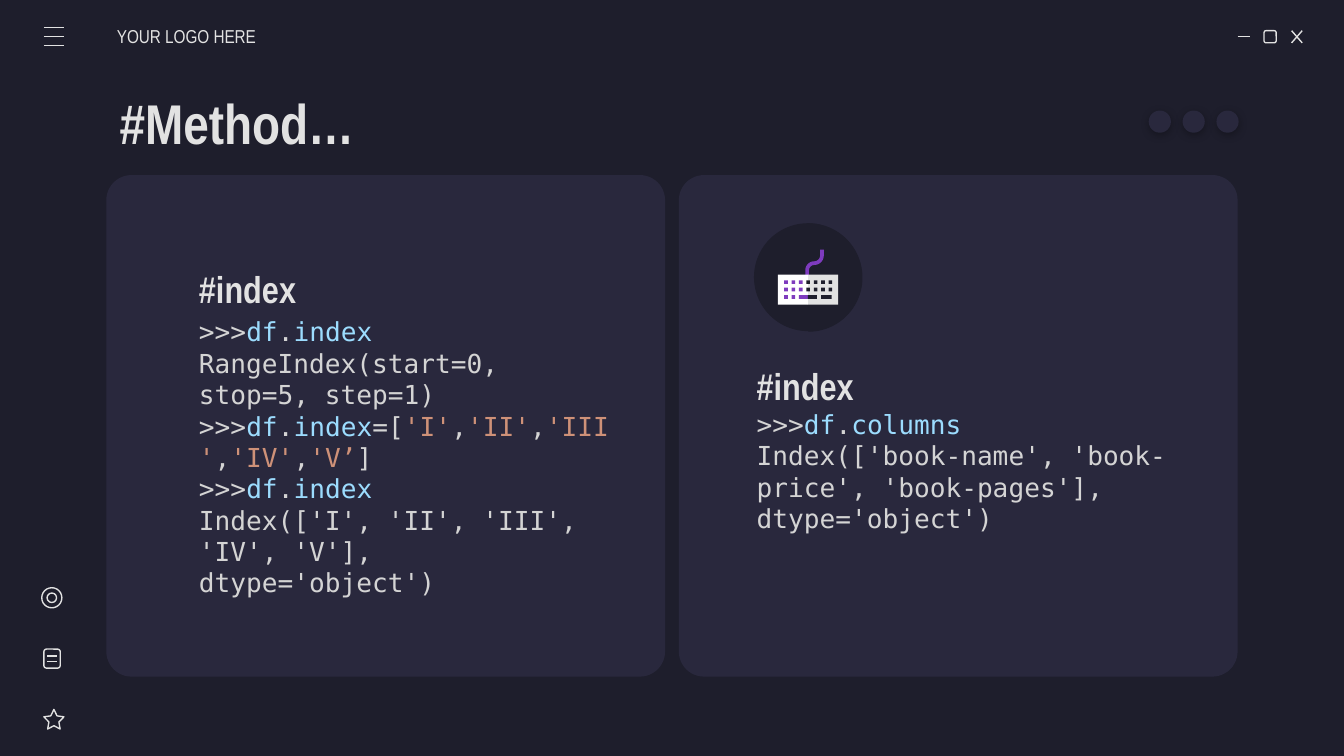
from dataclasses import dataclass
from math import cos, radians, sin

from lxml import etree
from pptx import Presentation
from pptx.dml.color import RGBColor
from pptx.enum.shapes import MSO_CONNECTOR, MSO_SHAPE
from pptx.enum.text import MSO_ANCHOR, MSO_AUTO_SIZE, PP_ALIGN
from pptx.oxml.ns import qn
from pptx.util import Cm, Pt

STRAIGHT = MSO_CONNECTOR.STRAIGHT
ROUNDED, OVAL, RECT = MSO_SHAPE.ROUNDED_RECTANGLE, MSO_SHAPE.OVAL, MSO_SHAPE.RECTANGLE
STAR, PIE = MSO_SHAPE.STAR_5_POINT, MSO_SHAPE.PIE
MIDDLE, TOP = MSO_ANCHOR.MIDDLE, MSO_ANCHOR.TOP
LEFT, FIXED = PP_ALIGN.LEFT, MSO_AUTO_SIZE.NONE


@dataclass(frozen=True)
class Theme:
    dark: str = "1E1E2C"
    panel: str = "29283D"
    light: str = "E2E2E2"
    white: str = "FFFFFF"
    purple: str = "7E3BBE"
    plain: str = "D4D4D4"
    name: str = "9CDCFE"
    string: str = "CE9178"
    sans: str = "Arial Narrow"
    mono: str = "DejaVu Sans Mono"
    title_size: int = 30
    heading_size: int = 20
    code_size: int = 14
    label_size: int = 10
    stroke: float = 0.75


THEME = Theme()


def paint(shape, fill=None, line=None):
    shape.shadow.inherit = False
    if fill:
        shape.fill.solid()
        shape.fill.fore_color.rgb = RGBColor.from_string(fill)
    else:
        shape.fill.background()
    if line:
        shape.line.color.rgb = RGBColor.from_string(line)
        shape.line.width = Pt(THEME.stroke)
    else:
        shape.line.fill.background()


def add_preset(shapes, kind, left, top, width, height, fill=None, line=None, adjust=()):
    shape = shapes.add_shape(kind, Cm(left), Cm(top), Cm(width), Cm(height))
    for index, value in enumerate(adjust):
        shape.adjustments[index] = value
    paint(shape, fill, line)
    return shape


def add_stroke(shapes, x1, y1, x2, y2):
    stroke = shapes.add_connector(STRAIGHT, Cm(x1), Cm(y1), Cm(x2), Cm(y2))
    stroke.line.color.rgb = RGBColor.from_string(THEME.light)
    stroke.line.width = Pt(THEME.stroke)
    etree.SubElement(stroke.element.spPr, qn("a:effectLst"))


def add_soft_shadow(shape):
    effects = shape.element.spPr.find(qn("a:effectLst"))
    shadow = etree.SubElement(effects, qn("a:outerShdw"), blurRad=str(Pt(4.5)),
                              dist=str(Pt(1.5)), dir="5400000", algn="bl", rotWithShape="0")
    color = etree.SubElement(shadow, qn("a:srgbClr"), val="000000")
    etree.SubElement(color, qn("a:alpha"), val="30000")


def place(box, left, top, width, height):
    box.left, box.top, box.width, box.height = Cm(left), Cm(top), Cm(width), Cm(height)


def write(box, lines, font, size, bold=False, anchor=MIDDLE, insets=(0.25, 0.25), wrap=True):
    """Fill a box with lines of (text, colour) spans; insets are left and vertical."""
    frame = box.text_frame
    frame.auto_size = FIXED
    frame.word_wrap = wrap
    frame.vertical_anchor = anchor
    frame.margin_left, frame.margin_right = Cm(insets[0]), Cm(0.25)
    frame.margin_top = frame.margin_bottom = Cm(insets[1])
    for index, line in enumerate(lines):
        para = frame.add_paragraph() if index else frame.paragraphs[0]
        para.alignment = LEFT
        para.space_before = Pt(0)
        for text, color in line:
            span = para.add_run()
            span.text = text
            span.font.name, span.font.size, span.font.bold = font, Pt(size), bold
            span.font.color.rgb = RGBColor.from_string(color)


def add_box(page, left, top, width, height):
    return page.shapes.add_textbox(Cm(left), Cm(top), Cm(width), Cm(height))


def write_heading(box, text, size):
    write(box, [[(text, THEME.light)]], THEME.sans, size, bold=True)


def add_code(page, left, top, height, lines):
    box = add_box(page, left, top, 8.46, height)
    write(box, lines, THEME.mono, THEME.code_size, anchor=TOP, insets=(0.25, 0.13))


def prompt(attribute):
    return [(">>>", THEME.plain), ("df", THEME.name), (".", THEME.plain),
            (attribute, THEME.name)]


def assignment(attribute, items):
    spans = prompt(attribute) + [("=[", THEME.plain)]
    for index, item in enumerate(items):
        if index:
            spans.append((",", THEME.plain))
        spans.append((item, THEME.string))
    return spans + [("]", THEME.plain)]


def arc(x, y, radius, start, end, steps=10):
    angles = [radians(start + (end - start) * step / steps) for step in range(steps + 1)]
    return [(x + radius * cos(angle), y + radius * sin(angle)) for angle in angles]


def add_cable(shapes):
    x, upper, lower = 15.39, 4.83, 5.11
    points = [(15.5, 4.72), *arc(x, upper, 0.11, 0, 90), *arc(x, lower, 0.17, 270, 180),
              (15.22, 5.27), (15.29, 5.27), *arc(x, lower, 0.1, 180, 270),
              *arc(x, upper, 0.18, 90, 0), (15.57, 4.72)]
    corners = [(Cm(px), Cm(py)) for px, py in points]
    builder = shapes.build_freeform(*corners[0])
    builder.add_line_segments(corners[1:], close=True)
    paint(builder.convert_to_shape(), THEME.purple)


def add_keyboard(page):
    badge = page.shapes.add_group_shape().shapes
    add_preset(badge, OVAL, 14.25, 4.22, 2.04, 2.04, THEME.dark)
    add_preset(badge, PIE, 14.25, 4.22, 2.05, 2.05, THEME.dark, adjust=(54.39, 162)).rotation = 180

    icon = page.shapes.add_group_shape().shapes
    add_cable(icon)
    middle, key, pitch, first_x, first_y = 15.27, 0.07, 0.14, 14.82, 5.3
    add_preset(icon, RECT, middle, 5.19, 0.57, 0.57, THEME.light)
    add_preset(icon, RECT, 14.7, 5.19, 0.57, 0.57, THEME.white)
    keys = [(first_x + column * pitch, row, key) for row in range(2) for column in range(7)]
    keys += [(first_x, 2, key), (first_x + pitch, 2, key),
             (15.1, 2, 0.17), (middle, 2, 0.17), (15.52, 2, 0.2)]
    for left, row, width in keys:
        color = THEME.purple if left < 15.2 else THEME.dark
        add_preset(icon, RECT, left, first_y + row * pitch, width, key, color)


def add_window_buttons(page):
    icons = page.shapes.add_group_shape().shapes
    add_stroke(icons, 23.39, 0.69, 23.62, 0.69)
    add_preset(icons, ROUNDED, 23.89, 0.58, 0.23, 0.23, line=THEME.light)
    add_stroke(icons, 24.41, 0.58, 24.61, 0.81)
    add_stroke(icons, 24.61, 0.58, 24.41, 0.81)


def add_side_icons(page):
    menu = page.shapes.add_group_shape().shapes
    for y in (0.52, 0.69, 0.86):
        add_stroke(menu, 0.83, y, 1.21, y)
    icons = page.shapes.add_group_shape().shapes
    add_preset(icons, STAR, 0.83, 13.41, 0.38, 0.37, line=THEME.light, adjust=(0.25, 1.05, 1.11))
    add_preset(icons, ROUNDED, 0.83, 12.27, 0.31, 0.36, line=THEME.light)
    for y in (12.4, 12.5):
        add_stroke(icons, 0.89, y, 1.07, y)
    for inset in (0, 0.1):
        size = 0.38 - 2 * inset
        add_preset(icons, OVAL, 0.79 + inset, 11.11 + inset, size, size, line=THEME.light)


def main():
    deck = Presentation()
    deck.slide_width, deck.slide_height = Cm(25.4), Cm(14.29)
    page = deck.slides.add_slide(deck.slide_layouts[0])
    page.background.fill.solid()
    page.background.fill.fore_color.rgb = RGBColor.from_string(THEME.dark)

    for left in (2.01, 12.83):
        add_preset(page.shapes, ROUNDED, left, 3.31, 10.56, 9.48, THEME.panel, adjust=(0.05,))
    add_window_buttons(page)
    add_side_icons(page)

    title, heading = page.shapes.title, page.placeholders[1]
    for box in (heading, title):
        box.element.getparent().append(box.element)  # bring above the panels
    place(title, 2.01, 1.5, 21.41, 1.6)
    write_heading(title, "#Method…", THEME.title_size)
    place(heading, 3.51, 4.8, 8.18, 1.3)
    write_heading(heading, "#index", THEME.heading_size)

    dots = page.shapes.add_group_shape().shapes
    for index in range(3):
        add_soft_shadow(add_preset(dots, OVAL, 21.71 + index * 0.64, 2.09, 0.42, 0.42, THEME.panel))

    label = add_box(page, 2.21, 0.3, 2.97, 0.76)
    write(label, [[("YOUR LOGO HERE", THEME.light)]], THEME.sans, THEME.label_size,
          insets=(0, 0.25), wrap=False)

    add_code(page, 3.51, 5.84, 5.05, [
        prompt("index"),
        [("RangeIndex(start=0, stop=5, step=1)", THEME.plain)],
        assignment("index", ["'I'", "'II'", "'III'", "'IV'", "'V’"]),
        prompt("index"),
        [("Index(['I', 'II', 'III', 'IV', 'V'], dtype='object')", THEME.plain)],
    ])
    add_keyboard(page)
    write_heading(add_box(page, 14.05, 6.63, 8.18, 1.3), "#index", THEME.heading_size)
    add_code(page, 14.05, 7.59, 2.64, [
        prompt("columns"),
        [("Index(['book-name', 'book-price', 'book-pages'], dtype='object')", THEME.plain)],
    ])
    deck.save("out.pptx")


if __name__ == "__main__":
    main()
